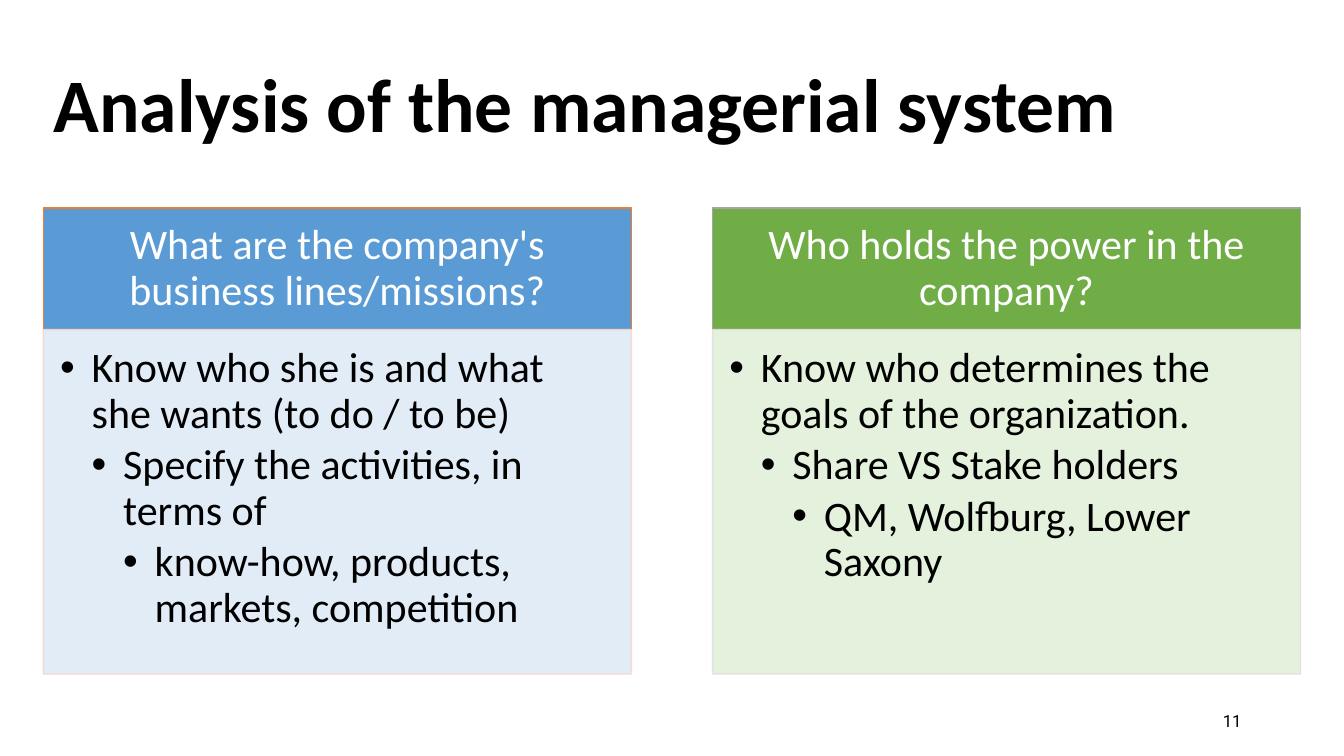
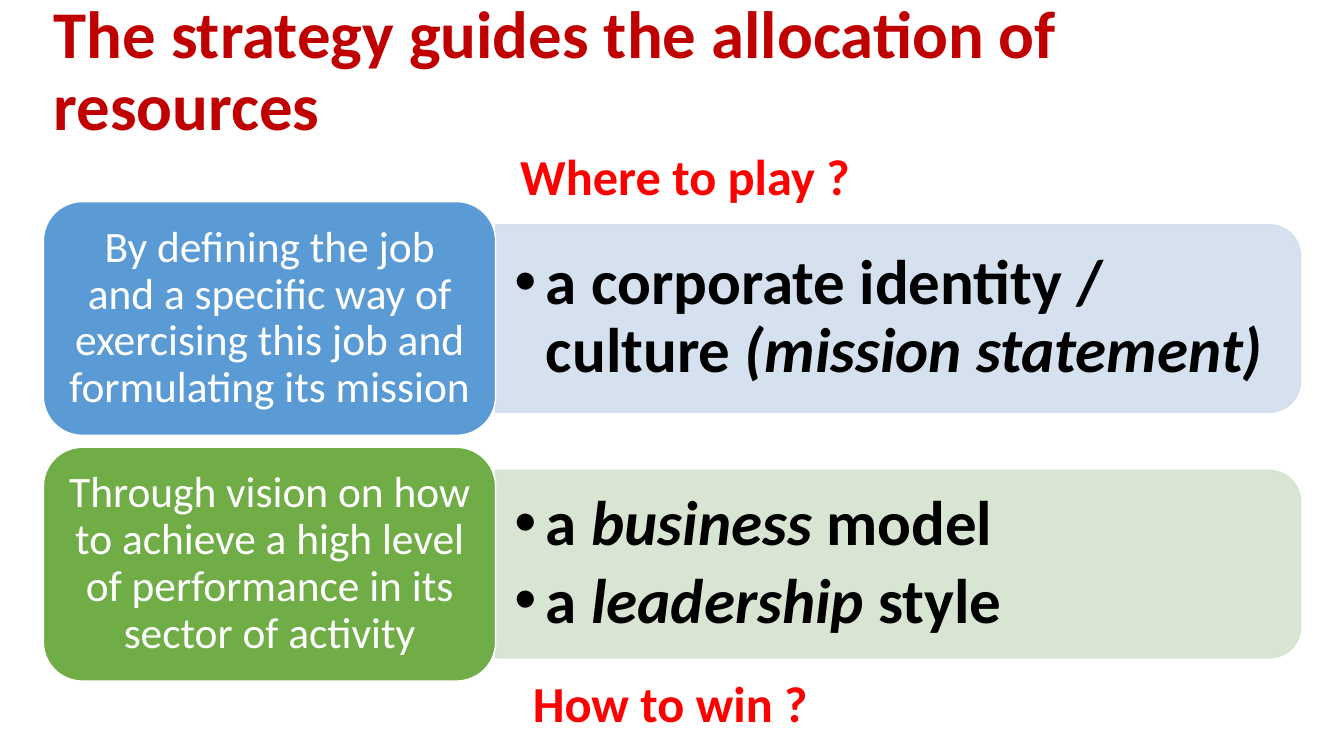
from pptx import Presentation
from pptx.dml.color import RGBColor
from pptx.enum.shapes import MSO_SHAPE as SHAPE
from pptx.enum.text import MSO_ANCHOR as ANCHOR, PP_ALIGN as ALIGN
from pptx.oxml.ns import qn
from pptx.util import Pt
from lxml.etree import SubElement

BLACK = RGBColor(0x00, 0x00, 0x00)
WHITE = RGBColor(0xFF, 0xFF, 0xFF)
BLUE = RGBColor(0x5B, 0x9B, 0xD5)
GREEN = RGBColor(0x70, 0xAD, 0x47)
ORANGE = RGBColor(0xED, 0x7D, 0x31)
GREY = RGBColor(0xA5, 0xA5, 0xA5)
PALE_BLUE = RGBColor(0xDE, 0xEB, 0xF7)
PALE_GREEN = RGBColor(0xE2, 0xF0, 0xD9)
PALE_ORANGE = RGBColor(0xF8, 0xD7, 0xCE)
PALE_GREY = RGBColor(0xE1, 0xE1, 0xE1)
SOFT_BLUE = RGBColor(0xD2, 0xDE, 0xEF)
SOFT_GREEN = RGBColor(0xD5, 0xE3, 0xCF)
DARK_RED = RGBColor(0xC0, 0x00, 0x00)
RED = RGBColor(0xFF, 0x00, 0x00)

FONT = "Calibri"
LEFT = 31
INDENT = 22.5


def add_run(p, text, size, color, bold=False, italic=False, font=FONT):
    r = p.add_run()
    r.text = text
    r.font.name = font
    r.font.size = Pt(size)
    r.font.color.rgb = color
    r.font.bold = bold
    r.font.italic = italic


def set_frame(tf, anchor, insets, wrap=True):
    tf.word_wrap = wrap
    tf.vertical_anchor = anchor
    tf.margin_left, tf.margin_top, tf.margin_right, tf.margin_bottom = map(Pt, insets)


def add_title(s, text, box, size, color):
    sp = s.shapes.title
    sp.left, sp.top, sp.width, sp.height = map(Pt, box)
    set_frame(sp.text_frame, ANCHOR.MIDDLE, (7.2, 3.6, 7.2, 3.6))
    p = sp.text_frame.paragraphs[0]
    p.alignment = ALIGN.LEFT
    p.line_spacing = 0.9
    add_run(p, text, size, color, bold=True)


def add_panel(s, kind, box, fill, line, opacity=100):
    sp = s.shapes.add_shape(kind, *map(Pt, box))
    sp.shadow.inherit = False
    sp.fill.solid()
    sp.fill.fore_color.rgb = fill
    sp.line.color.rgb = line
    sp.line.width = Pt(1)
    if opacity < 100:
        for color in list(sp._element.spPr.iter(qn("a:srgbClr"))):
            SubElement(color, qn("a:alpha")).set("val", str(opacity * 1000))
    return sp


def add_caption(sp, text, size, insets):
    set_frame(sp.text_frame, ANCHOR.MIDDLE, insets)
    p = sp.text_frame.paragraphs[0]
    p.alignment = ALIGN.CENTER
    p.line_spacing = 0.9
    add_run(p, text, size, WHITE)


def add_bullets(tf, items, size, bold=False):
    for i, (level, runs) in enumerate(items):
        p = tf.add_paragraph() if i else tf.paragraphs[0]
        p.level = level
        p.alignment = ALIGN.LEFT
        p.line_spacing = 0.9
        p.space_before = Pt(size * 0.15 if i else 0)
        pPr = p._p.get_or_add_pPr()
        pPr.set("marL", str(Pt(INDENT * (level + 1))))
        pPr.set("indent", str(Pt(-INDENT)))
        SubElement(pPr, qn("a:buFont")).set("typeface", "Arial")
        SubElement(pPr, qn("a:buChar")).set("char", "•")
        for text, italic in runs:
            add_run(p, text, size, BLACK, bold, italic)


def add_label(s, text, box, size, color, bold=False, font=FONT, align=ALIGN.LEFT, wrap=False):
    tf = s.shapes.add_textbox(*map(Pt, box)).text_frame
    set_frame(tf, ANCHOR.MIDDLE, (7.2, 3.6, 7.2, 3.6), wrap)
    tf.paragraphs[0].alignment = align
    add_run(tf.paragraphs[0], text, size, color, bold, font=font)


def add_column(s, box, heading, points, head_colors, body_colors):
    x, y, w, h = box
    head_h = 87
    head = add_panel(s, SHAPE.RECTANGLE, (x, y, w, head_h), *head_colors)
    add_caption(head, heading, 30, (16.5, 9, 16.5, 9))
    body = add_panel(s, SHAPE.RECTANGLE, (x, y + head_h, w, h - head_h), *body_colors, 90)
    set_frame(body.text_frame, ANCHOR.TOP, (12, 12, 16.5, 18.5))
    add_bullets(body.text_frame, [(i, [(t, False)]) for i, t in enumerate(points)], 30)


def add_row(s, box, caption, items, color, soft):
    x, y, w, h = box
    label_w, panel_h = 323, 134
    panel_x, panel_w = x + label_w, w - label_w
    panel_y = y + (h - panel_h) / 2
    upright = (panel_x + (panel_w - panel_h) / 2, y + (h - panel_w) / 2, panel_h, panel_w)
    add_panel(s, SHAPE.ROUND_2_SAME_RECTANGLE, upright, soft, soft, 90).rotation = 90
    tf = s.shapes.add_textbox(*map(Pt, (panel_x, panel_y, panel_w - 6, panel_h))).text_frame
    set_frame(tf, ANCHOR.MIDDLE, (13.5, 6.5, 13.5, 6.5))
    add_bullets(tf, items, 45, bold=True)
    label = add_panel(s, SHAPE.ROUNDED_RECTANGLE, (x, y, label_w, h), color, WHITE)
    add_caption(label, caption, 31, (9, 4.5, 9, 4.5))


def build_analysis(prs):
    s = prs.slides.add_slide(prs.slide_layouts[5])
    add_title(s, "Analysis of the managerial system", (LEFT, 25, 899, 104.5), 54, BLACK)
    add_label(s, "11", (678, 500.5, 216, 29), 12, BLACK, font="Roboto",
              align=ALIGN.RIGHT, wrap=True)
    columns = [
        ("What are the company's business lines/missions?",
         ["Know who she is and what she wants (to do / to be)",
          "Specify the activities, in terms of",
          "know-how, products, markets, competition"],
         (BLUE, ORANGE), (PALE_BLUE, PALE_ORANGE)),
        ("Who holds the power in the company?",
         ["Know who determines the goals of the organization.",
          "Share VS Stake holders",
          "QM, Wolfburg, Lower Saxony"],
         (GREEN, GREY), (PALE_GREEN, PALE_GREY)),
    ]
    for i, column in enumerate(columns):
        add_column(s, (LEFT + i * 478, 148.5, 420, 333), *column)


def build_strategy(prs):
    s = prs.slides.add_slide(prs.slide_layouts[5])
    add_title(s, "The strategy guides the allocation of resources",
              (LEFT, 0, 919, 104.5), 47.7, DARK_RED)
    rows = [
        ("By defining the job and a specific way of exercising this job "
         "and formulating its mission",
         [(0, [("a corporate identity / culture ", False), ("(mission statement)", True)])],
         BLUE, SOFT_BLUE),
        ("Through vision on how to achieve a high level of performance "
         "in its sector of activity",
         [(0, [("a ", False), ("business ", True), ("model", False)]),
          (0, [("a ", False), ("leadership", True), (" style", False)])],
         GREEN, SOFT_GREEN),
    ]
    for i, row in enumerate(rows):
        add_row(s, (LEFT, 144 + i * 175.5, 898, 167), *row)
    add_label(s, "Where to play ?", (364.5, 99.5, 252, 51), 36, RED, bold=True)
    add_label(s, "How to win ?", (373.5, 476, 213, 51), 36, RED, bold=True)


def main():
    prs = Presentation()
    prs.slide_width, prs.slide_height = Pt(960), Pt(540)
    build_analysis(prs)
    build_strategy(prs)
    prs.save("out.pptx")


if __name__ == "__main__":
    main()
